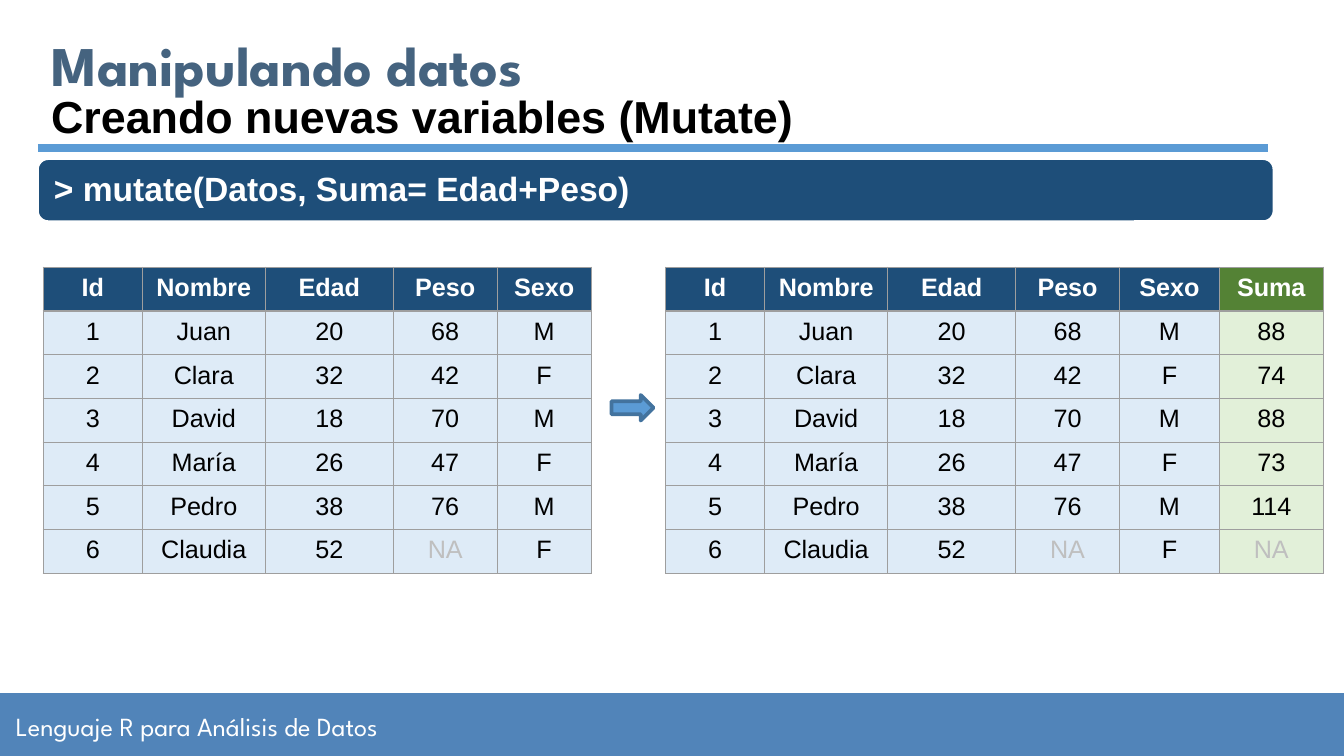
from dataclasses import dataclass

from lxml import etree
from pptx import Presentation
from pptx.dml.color import RGBColor
from pptx.enum.shapes import MSO_CONNECTOR, MSO_SHAPE
from pptx.enum.text import MSO_ANCHOR, MSO_AUTO_SIZE, PP_ALIGN
from pptx.oxml.ns import qn
from pptx.util import Pt

RECT, ROUND, ARROW = MSO_SHAPE.RECTANGLE, MSO_SHAPE.ROUNDED_RECTANGLE, MSO_SHAPE.RIGHT_ARROW
LINE = MSO_CONNECTOR.STRAIGHT
TOP, MIDDLE = MSO_ANCHOR.TOP, MSO_ANCHOR.MIDDLE
LEFT, CENTER = PP_ALIGN.LEFT, PP_ALIGN.CENTER
FIXED = MSO_AUTO_SIZE.NONE


@dataclass(frozen=True)
class Theme:
    head: str = "League Spartan"
    body: str = "Arial"
    white: str = "FFFFFF"
    black: str = "000000"
    slate: str = "45637F"
    navy: str = "1E4E79"
    pale: str = "DEEBF7"
    green: str = "548235"
    mint: str = "E2F0D9"
    blue: str = "5B9BD5"
    edge: str = "43739E"
    band: str = "5184B9"
    grid: str = "9E9E9E"
    faint: str = "BFBFBF"
    title: float = 30
    sub: float = 24
    code: float = 18
    foot: float = 14
    cell: float = 13.5


T = Theme()

NAMES = ["Id", "Nombre", "Edad", "Peso", "Sexo"]
PEOPLE = [
    ["1", "Juan", "20", "68", "M"],
    ["2", "Clara", "32", "42", "F"],
    ["3", "David", "18", "70", "M"],
    ["4", "María", "26", "47", "F"],
    ["5", "Pedro", "38", "76", "M"],
    ["6", "Claudia", "52", "NA", "F"],
]
SUMS = ["88", "74", "88", "73", "114", "NA"]
WIDTHS = [53, 66, 68.5, 55.7]


def rgb(code):
    return RGBColor.from_string(code)


def points(box):
    return [Pt(n) for n in box]


def write(frame, text, size, color, face=T.body, bold=True, align=LEFT):
    frame.text = text
    para = frame.paragraphs[0]
    para.alignment = align
    font = para.runs[0].font
    font.name, font.size, font.bold = face, Pt(size), bold
    font.color.rgb = rgb(color)


def fit(frame, side, edge, anchor):
    frame.word_wrap = True
    frame.auto_size = FIXED
    frame.vertical_anchor = anchor
    frame.margin_left = frame.margin_right = Pt(side)
    frame.margin_top = frame.margin_bottom = Pt(edge)


def shape(slide, kind, box, fill, line=None, width=1):
    item = slide.shapes.add_shape(kind, *points(box))
    item.shadow.inherit = False
    item.fill.solid()
    item.fill.fore_color.rgb = rgb(fill)
    if line:
        item.line.color.rgb = rgb(line)
        item.line.width = Pt(width)
    else:
        item.line.fill.background()
    return item


def border(cell):
    props = cell._tc.get_or_add_tcPr()
    for side in ("lnL", "lnR", "lnT", "lnB"):
        line = etree.SubElement(props, qn(f"a:{side}"), w=str(Pt(0.75)))
        fill = etree.SubElement(line, qn("a:solidFill"))
        etree.SubElement(fill, qn("a:srgbClr"), val=T.grid)


# Footer band with the course name
def footer(slide, box):
    x, y, w, h = box
    shape(slide, RECT, box, T.band)
    label = slide.shapes.add_textbox(*points((x + 1.5, y + 1, w / 2, h)))
    fit(label.text_frame, 7.2, 7.2, MIDDLE)
    write(label.text_frame, "Lenguaje R para Análisis de Datos", T.foot, T.white, T.head, False)


# Title, subtitle and the rule below them
def header(slide, box):
    x, y, w, h = box
    title = slide.shapes.title
    title.left, title.top, title.width, title.height = points((x, y, 474.5, 36.5))
    fit(title.text_frame, 7.2, 7.2, MIDDLE)
    write(title.text_frame, "Manipulando datos", T.title, T.slate, T.head)

    sub = slide.shapes.add_textbox(*points((x, y + 28, w + 14, 36)))
    fit(sub.text_frame, 7.2, 3.6, TOP)
    write(sub.text_frame, "Creando nuevas variables (Mutate)", T.sub, T.black)

    rule = slide.shapes.add_connector(LINE, *points((x, y + h, x + w, y + h)))
    rule.line.color.rgb = rgb(T.blue)
    rule.line.width = Pt(4.5)
    etree.SubElement(rule._element.spPr, qn("a:effectLst"))


# Command shown on a rounded bar
def command(slide, box):
    bar = shape(slide, ROUND, box, T.navy, T.white)
    bar.adjustments[0] = 0.167
    fit(bar.text_frame, 7, 6, MIDDLE)
    write(bar.text_frame, "> mutate(Datos, Suma= Edad+Peso)", T.code, T.white)
    bar.text_frame.paragraphs[0].line_spacing = 0.9


# Data table; the added column, if any, is green
def grid(slide, box, rows, widths):
    frame = slide.shapes.add_table(len(rows), len(widths), *points(box))
    table = frame.table
    for col, width in zip(table.columns, widths):
        col.width = Pt(width)
    for row in table.rows:
        row.height = Pt(box[3] / len(rows))
    for r, row in enumerate(rows):
        for c, text in enumerate(row):
            cell = table.cell(r, c)
            top, added = r == 0, c >= len(NAMES)
            border(cell)
            cell.fill.solid()
            dark, light = (T.green, T.mint) if added else (T.navy, T.pale)
            cell.fill.fore_color.rgb = rgb(dark if top else light)
            color = T.white if top else T.faint if text == "NA" else T.black
            write(cell.text_frame, text, T.cell, color, bold=top, align=CENTER)


# Table before, arrow, table after
def change(slide, box):
    x, y, w, h = box
    old = [NAMES] + PEOPLE
    new = [row + [total] for row, total in zip(old, ["Suma"] + SUMS)]
    first, second = WIDTHS + [50.4], WIDTHS + [53.5, 55.7]
    grid(slide, (x, y, sum(first), h), old, first)
    shape(slide, ARROW, (x + 304.4, y + 68.4, 22.5, 13.7), T.blue, T.edge, 2)
    grid(slide, (x + w - sum(second), y, sum(second), h), new, second)


def main():
    deck = Presentation()
    deck.slide_width, deck.slide_height = Pt(720), Pt(405)
    slide = deck.slides.add_slide(deck.slide_layouts[5])
    footer(slide, (0, 371.3, 720, 33.7))
    header(slide, (20.3, 16, 659, 63.2))
    command(slide, (20.3, 85.2, 662, 33.3))
    change(slide, (23.2, 143.2, 685.8, 164))
    deck.save("out.pptx")


if __name__ == "__main__":
    main()
